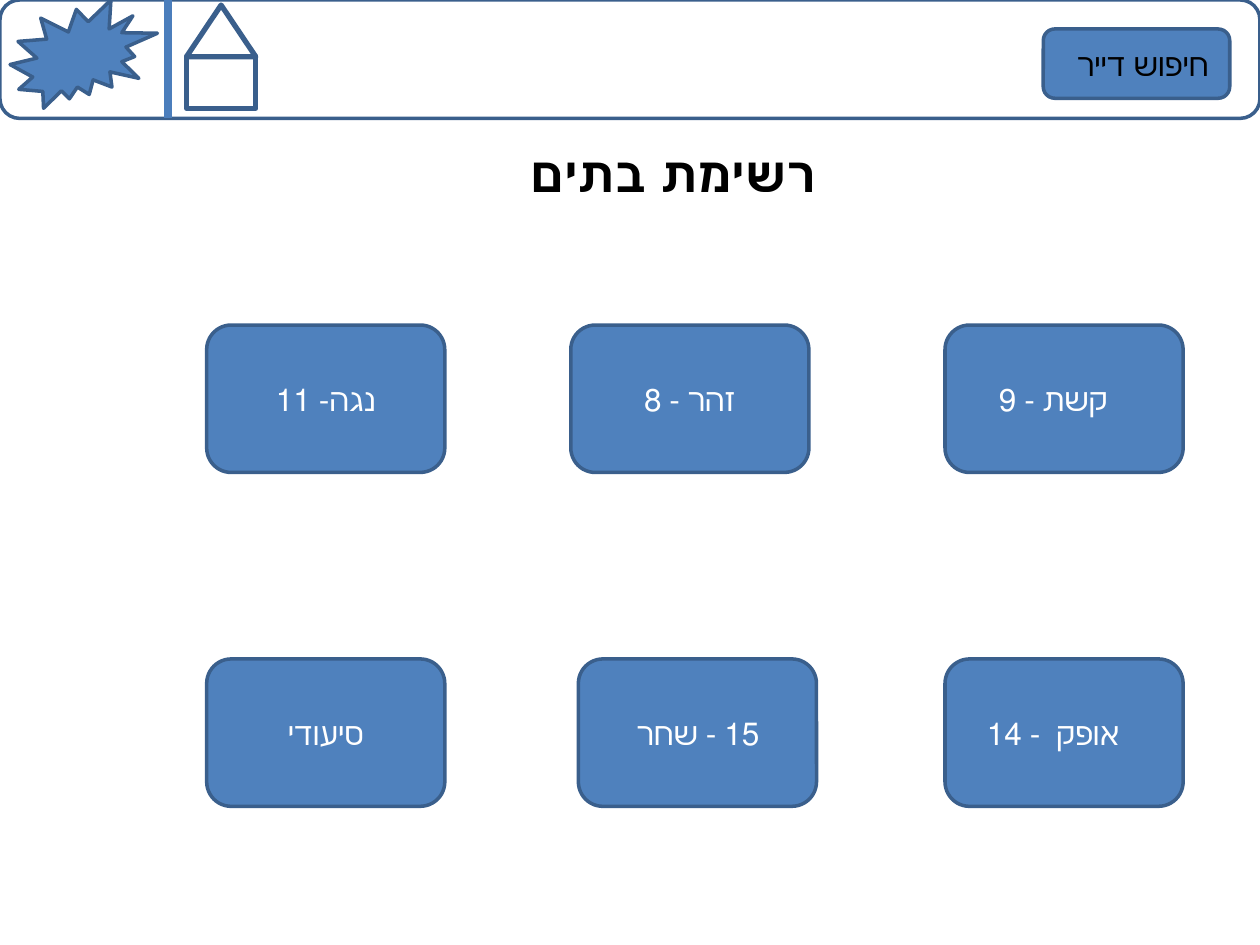
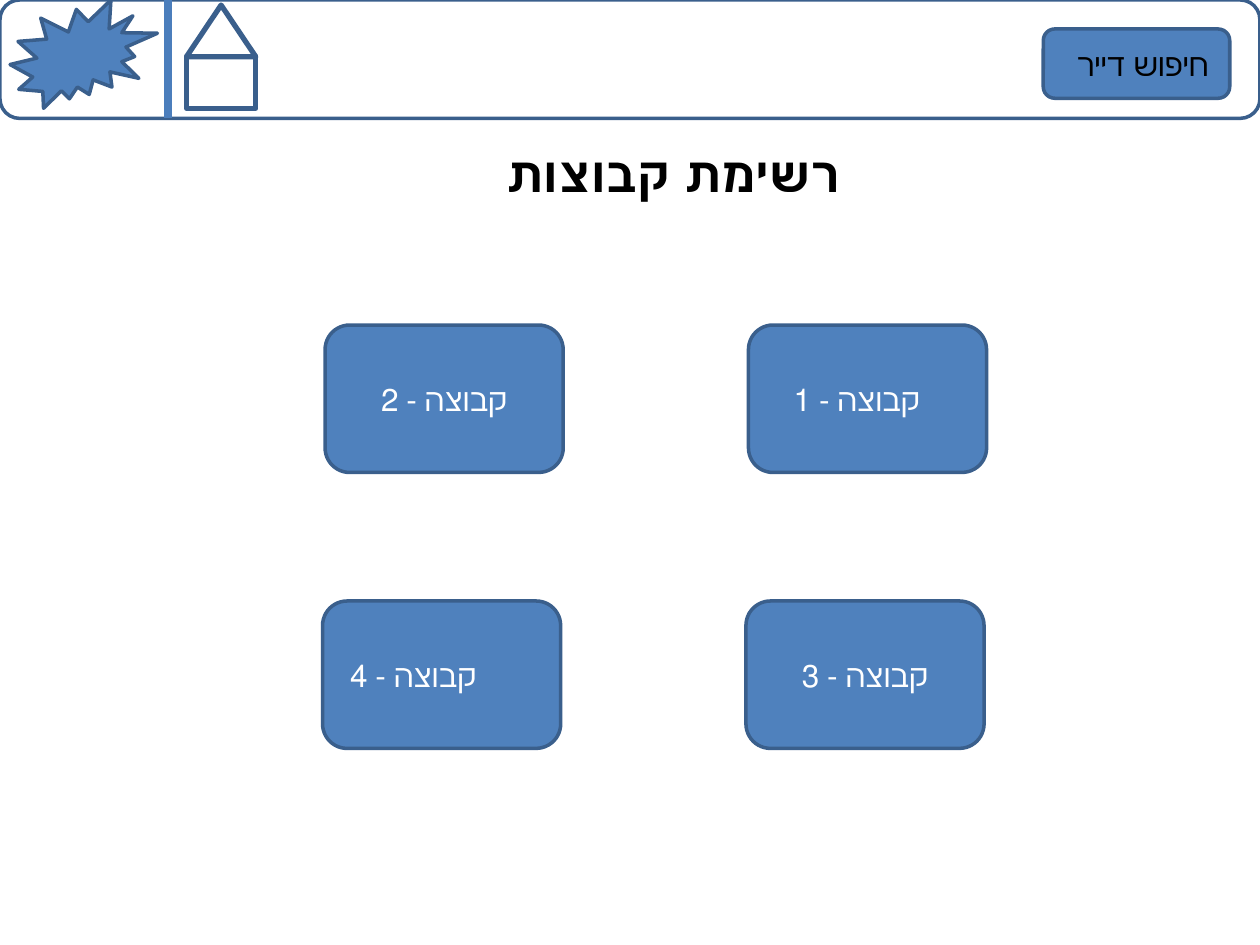
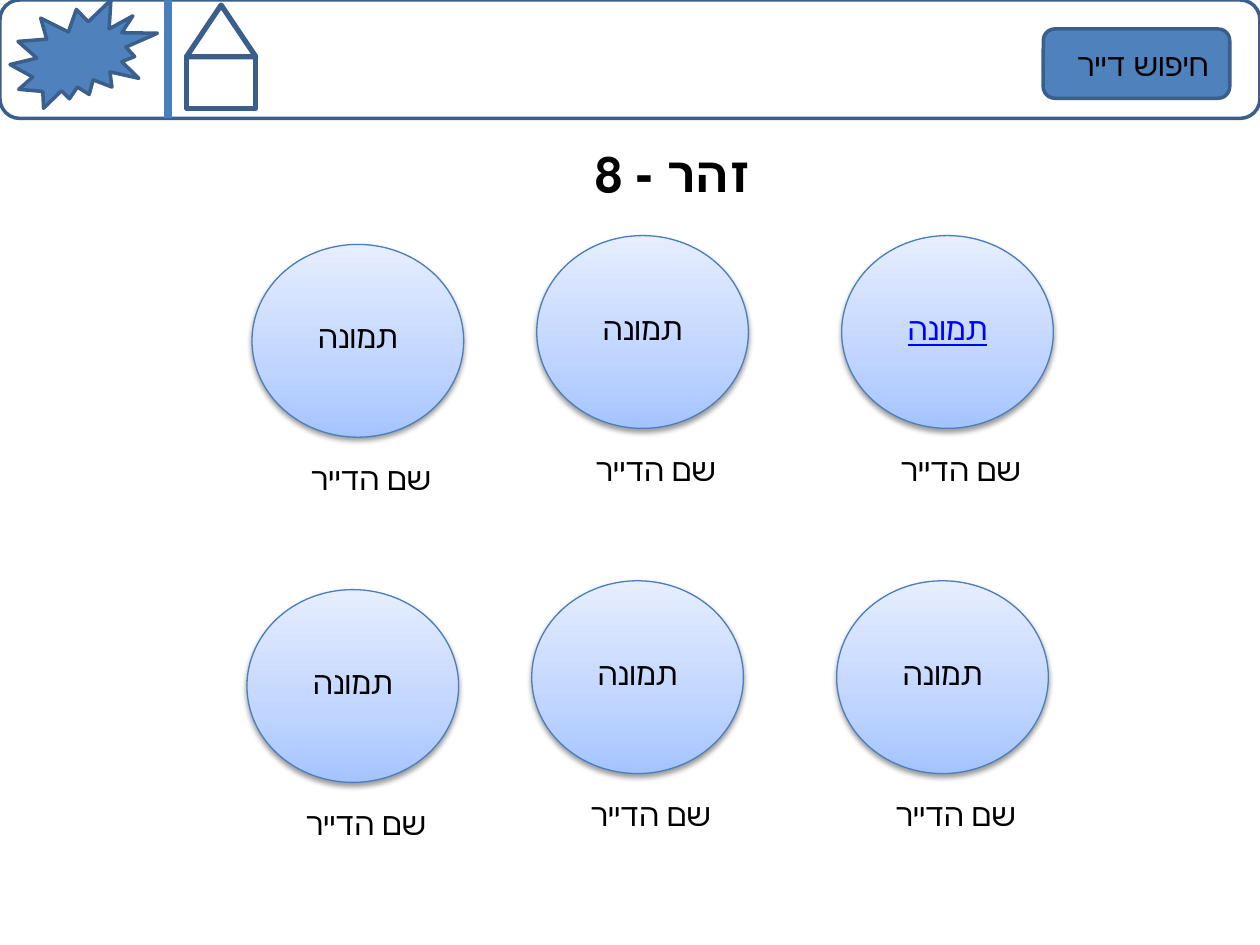
from lxml import etree
from pptx import Presentation
from pptx.dml.color import RGBColor
from pptx.enum.shapes import MSO_CONNECTOR, MSO_SHAPE
from pptx.enum.text import MSO_ANCHOR, MSO_AUTO_SIZE, PP_ALIGN
from pptx.oxml import ns
from pptx.util import Inches, Pt

BLUE = RGBColor(0x4F, 0x81, 0xBD)
EDGE = RGBColor(0x3A, 0x5F, 0x8C)
RULE = RGBColor(0x4B, 0x7E, 0xBC)
LINK = RGBColor(0x00, 0x00, 0xFF)
BLACK = RGBColor(0x00, 0x00, 0x00)
WHITE = RGBColor(0xFF, 0xFF, 0xFF)
FONT = "Calibri"
GLOW = ((0, "A4C4FF"), (35000, "BFD4FF"), (100000, "E6EEFF"))

CARD_W, CARD_H = 1.89, 1.17
LABEL_W, TEXT_H = 2.34, 0.4
DISC_W, DISC_H = 1.68, 1.53

# Name, card left, card top, and the label's left where it has its own box
HOUSES = (
    ("נגה- 11", 1.64, 2.58, None),
    ("זהר - 8", 4.53, 2.58, None),
    ("קשת - 9", 7.5, 2.58, 7.19),
    ("סיעודי", 1.64, 5.23, None),
    ("15 - שחר", 4.59, 5.23, 4.37),
    ("אופק  - 14", 7.5, 5.23, 7.19),
)
TEAMS = (
    ("קבוצה - 1", 5.94, 2.58, 5.63),
    ("קבוצה - 2", 2.58, 2.58, None),
    ("קבוצה - 3", 5.92, 4.77, None),
    ("קבוצה - 4", 2.56, 4.77, 2.11),
)


def inch(*sizes):
    return [Inches(size) for size in sizes]


def write(frame, words, color, size=18, align=PP_ALIGN.CENTER, bold=None):
    """Set one right-to-left paragraph and return its run."""
    frame.word_wrap = True
    frame.text = words
    para = frame.paragraphs[0]
    para.alignment = align
    para._p.get_or_add_pPr().set("rtl", "1")
    run = para.runs[0]
    run.font.size = Pt(size)
    run.font.bold = bold
    run.font.name = FONT
    run.font.color.rgb = color
    etree.SubElement(run.font._element, ns.qn("a:cs"), typeface="+mn-cs")
    return run


def add_text(parent, x, y, width, words, color, align=PP_ALIGN.CENTER):
    box = parent.shapes.add_textbox(*inch(x, y, width, TEXT_H))
    box.text_frame.auto_size = MSO_AUTO_SIZE.SHAPE_TO_FIT_TEXT
    return write(box.text_frame, words, color, align=align)


def add_form(parent, kind, place, fill=None, edge=EDGE, width=2):
    form = parent.shapes.add_shape(kind, *inch(*place))
    form.shadow.inherit = False
    if fill is None:
        form.fill.background()
    else:
        form.fill.solid()
        form.fill.fore_color.rgb = fill
    form.line.color.rgb = edge
    form.line.width = Pt(width)
    return form


def add_rule(slide, x, end):
    rule = slide.shapes.add_connector(
        MSO_CONNECTOR.STRAIGHT, *inch(x, 0, x, end))
    rule.line.color.rgb = RULE
    rule.line.width = Pt(4.5)
    etree.SubElement(rule._element.spPr, ns.qn("a:effectLst"))


def add_band(slide):
    """Draw the top bar with its seal, home sign and search button."""
    add_form(slide, MSO_SHAPE.ROUNDED_RECTANGLE, (0, 0, 10, 0.94))
    home = slide.shapes.add_group_shape()
    add_form(home, MSO_SHAPE.RECTANGLE, (1.48, 0.45, 0.55, 0.41), width=3)
    add_form(home, MSO_SHAPE.ISOSCELES_TRIANGLE, (1.48, 0.04, 0.55, 0.41),
             width=3)
    add_rule(slide, 1.33, 0.94)
    add_form(slide, MSO_SHAPE.ROUNDED_RECTANGLE, (8.28, 0.23, 1.48, 0.55), BLUE)
    add_form(slide, MSO_SHAPE.EXPLOSION2, (0.08, 0, 1.17, 0.86), BLUE)
    add_text(slide, 8.36, 0.31, 1.33, "חיפוש דייר", BLACK, PP_ALIGN.RIGHT)


def add_page(deck, words):
    slide = deck.slides.add_slide(deck.slide_layouts.get_by_name("Title Only"))
    title = slide.shapes.title
    title.left, title.top, title.width, title.height = inch(
        3.12, 1.09, 4.45, 0.57)
    title.text_frame.vertical_anchor = MSO_ANCHOR.TOP
    write(title.text_frame, words, BLACK, 28, bold=True)
    add_band(slide)
    return slide


def add_card(slide, name, x, y, label):
    card = add_form(slide, MSO_SHAPE.ROUNDED_RECTANGLE,
                    (x, y, CARD_W, CARD_H), BLUE)
    if label is None:
        card.text_frame.vertical_anchor = MSO_ANCHOR.MIDDLE
        write(card.text_frame, name, WHITE)
    else:
        add_text(slide, label, y + (CARD_H - TEXT_H) / 2, LABEL_W, name, WHITE)


def shade(disc):
    """Give the disc its three-stop gradient and soft shadow."""
    disc.fill.gradient()
    disc.fill.gradient_angle = 90
    props = disc._element.spPr
    stops = props.find(".//" + ns.qn("a:gsLst"))
    stops.clear()
    for pos, color in GLOW:
        stop = etree.SubElement(stops, ns.qn("a:gs"), pos=str(pos))
        etree.SubElement(stop, ns.qn("a:srgbClr"), val=color)
    cast = etree.SubElement(
        props.find(ns.qn("a:effectLst")), ns.qn("a:outerShdw"),
        blurRad=str(Pt(3.1)), dist=str(Pt(1.6)), dir="5400000",
        rotWithShape="0")
    tint = etree.SubElement(cast, ns.qn("a:srgbClr"), val=str(BLACK))
    etree.SubElement(tint, ns.qn("a:alpha"), val="38000")


def add_tenant(slide, x, y, linked):
    group = slide.shapes.add_group_shape()
    disc = add_form(group, MSO_SHAPE.OVAL, (x, y, DISC_W, DISC_H),
                    edge=RULE, width=0.75)
    shade(disc)
    run = add_text(group, x + 0.18, y + 0.53, 1.32, "תמונה",
                   LINK if linked else BLACK)
    if linked:
        run.font.underline = True
    add_text(group, x + 0.19, y + 1.65, 1.33, "שם הדייר", BLACK,
             PP_ALIGN.RIGHT)


def main():
    deck = Presentation()
    deck.slide_width, deck.slide_height = inch(10, 7.5)

    for title, cards in (("רשימת בתים", HOUSES), ("רשימת קבוצות", TEAMS)):
        slide = add_page(deck, title)
        for card in cards:
            add_card(slide, *card)

    slide = add_page(deck, "זהר - 8")
    for row in range(2):
        for col, (x, drop) in enumerate(((2, 0.07), (4.26, 0), (6.68, 0))):
            add_tenant(slide, x - 0.04 * row, 1.87 + 2.74 * row + drop,
                       linked=(row, col) == (0, 2))

    deck.save("out.pptx")


if __name__ == "__main__":
    main()
